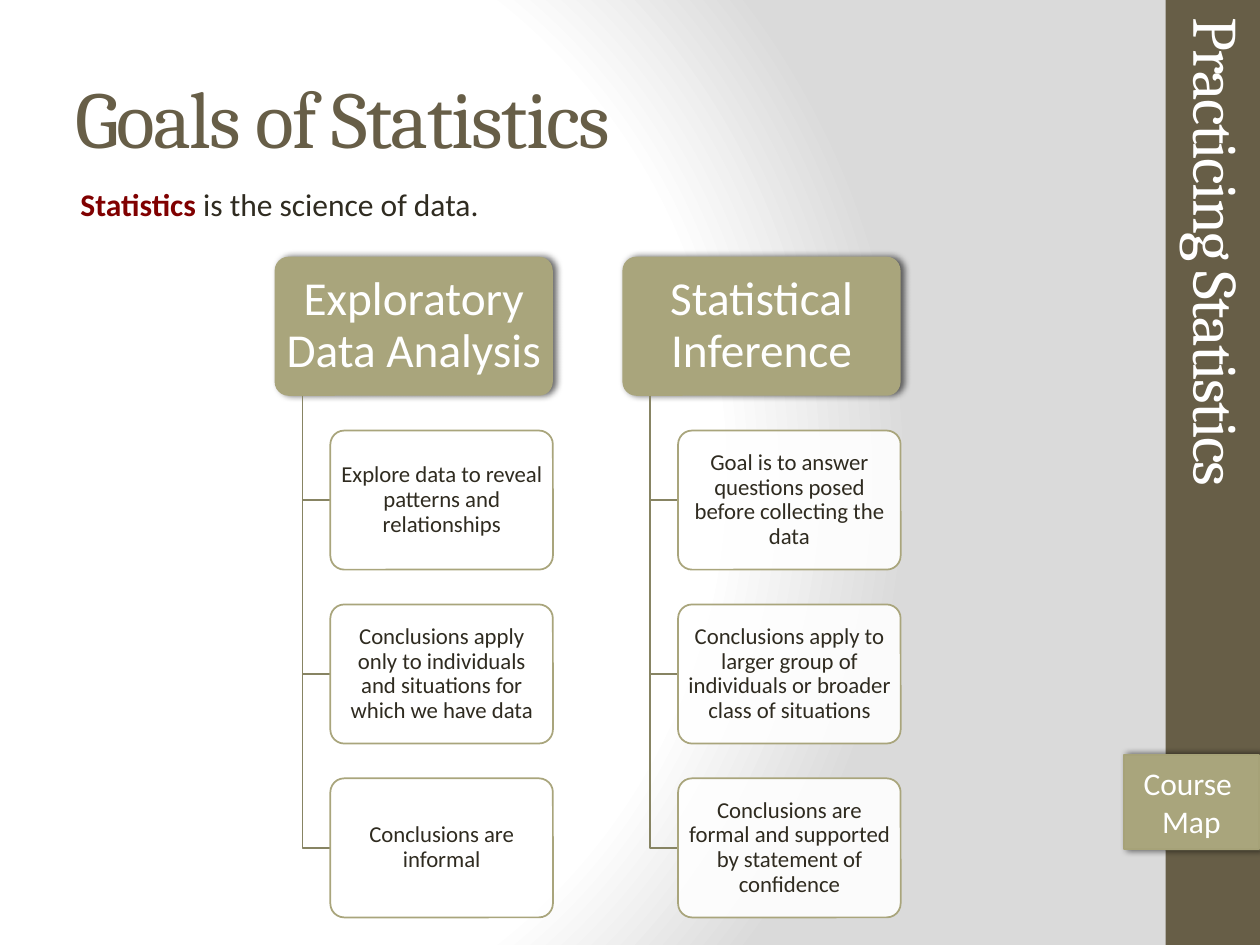
"""Build the Goals of Statistics slide."""
from lxml import etree
from pptx import Presentation
from pptx import util as u
from pptx.dml.color import RGBColor
from pptx.enum import shapes, text
from pptx.oxml import parse_xml
from pptx.oxml.ns import nsdecls, qn

BROWN = RGBColor(0x67, 0x5E, 0x47)
OLIVE = RGBColor(0xA9, 0xA5, 0x7C)
EDGE = RGBColor(0xA6, 0xA2, 0x78)
BRANCH = RGBColor(0x87, 0x84, 0x63)
MAROON = RGBColor(0x80, 0x00, 0x00)
INK = RGBColor(0x2F, 0x2B, 0x20)
SILVER = RGBColor(0xDA, 0xDA, 0xDA)
WHITE = RGBColor(0xFF, 0xFF, 0xFF)
BLACK = RGBColor(0x00, 0x00, 0x00)

HEAD_FONT, BODY_FONT = "Cambria", "Calibri"
COLS, ROWS = 40, 30
TREE_LEFT, TREE_TOP, TREE_PITCH = 8.72, 8.15, 5.52
UNIT = TREE_PITCH / 5

GOALS = [
    ("Exploratory Data Analysis", [
        "Explore data to reveal patterns and relationships",
        "Conclusions apply only to individuals and situations for which we have data",
        "Conclusions are informal"]),
    ("Statistical Inference", [
        "Goal is to answer questions posed before collecting the data",
        "Conclusions apply to larger group of individuals or broader class of situations",
        "Conclusions are formal and supported by statement of confidence"]),
]


class Deck:
    def __init__(self):
        self.prs = Presentation()
        self.prs.slide_width, self.prs.slide_height = u.Inches(10), u.Inches(7.5)
        self.s = self.prs.slides.add_slide(self.prs.slide_layouts[6])

    def grid(self, x, y):
        return (u.Emu(round(x * self.prs.slide_width / COLS)),
                u.Emu(round(y * self.prs.slide_height / ROWS)))

    def background(self, stops):
        gs = "".join(f'<a:gs pos="{pos * 1000}"><a:srgbClr val="{c}"/></a:gs>'
                     for pos, c in stops)
        bg = parse_xml(
            f'<p:bg {nsdecls("p", "a")}><p:bgPr><a:gradFill rotWithShape="1">'
            f'<a:gsLst>{gs}</a:gsLst><a:path path="circle">'
            '<a:fillToRect l="20000" t="50000" r="100000" b="50000"/></a:path>'
            '</a:gradFill><a:effectLst/></p:bgPr></p:bg>')
        self.s.element.cSld.insert(0, bg)

    def box(self, x, y, w, h, fill, kind=shapes.MSO_SHAPE.RECTANGLE,
            line=None, alpha=None, shadow=False):
        sp = self.s.shapes.add_shape(kind, *self.grid(x, y), *self.grid(w, h))
        sp.shadow.inherit = False
        sp.fill.solid()
        sp.fill.fore_color.rgb = fill
        if kind == shapes.MSO_SHAPE.ROUNDED_RECTANGLE:
            sp.adjustments[0] = 0.1
        if line is None:
            sp.line.fill.background()
        else:
            sp.line.color.rgb = line
            sp.line.width = u.Pt(1)
        pr = sp.element.spPr
        if alpha:
            clr = pr.find(qn("a:solidFill"))[0]
            etree.SubElement(clr, qn("a:alpha")).set("val", str(alpha * 1000))
        if shadow:
            pr.find(qn("a:effectLst")).append(parse_xml(
                f'<a:outerShdw {nsdecls("a")} blurRad="{u.Pt(4)}" dist="{u.Pt(2)}" '
                f'dir="0" rotWithShape="0"><a:srgbClr val="{BLACK}">'
                '<a:alpha val="60000"/></a:srgbClr></a:outerShdw>'))
        return sp

    def add_text(self, sp, runs, size, font=BODY_FONT, centre=False, inset=(0.1, 0.05),
                 wrap=True, middle=True, leading=None, before=0, spacing=None):
        tf = sp.text_frame
        tf.word_wrap = wrap
        tf.margin_left = tf.margin_right = u.Inches(inset[0])
        tf.margin_top = tf.margin_bottom = u.Inches(inset[1])
        tf.vertical_anchor = text.MSO_ANCHOR.MIDDLE if middle else text.MSO_ANCHOR.TOP
        p = tf.paragraphs[0]
        p.alignment = text.PP_ALIGN.CENTER if centre else text.PP_ALIGN.LEFT
        p.space_before = u.Pt(before)
        if leading:
            p.line_spacing = leading
        for words, color, bold in runs:
            if words == "\n":
                p.add_line_break()
                continue
            r = p.add_run()
            r.text = words
            r.font.name, r.font.size, r.font.bold = font, u.Pt(size), bold
            r.font.color.rgb = color
            if spacing:
                r._r.get_or_add_rPr().set("spc", str(spacing * 100))

    def label(self, x, y, w, h, runs, size, rotation=0, **style):
        sp = self.s.shapes.add_textbox(*self.grid(x, y), *self.grid(w, h))
        sp.rotation = rotation
        self.add_text(sp, runs, size, **style)

    def elbow(self, x, y, to_x, to_y):
        fb = self.s.shapes.build_freeform(*self.grid(x, y))
        fb.add_line_segments([self.grid(x, to_y), self.grid(to_x, to_y)], close=False)
        sp = fb.convert_to_shape()
        sp.shadow.inherit = False
        sp.fill.background()
        sp.line.color.rgb = BRANCH
        sp.line.width = u.Pt(1)

    def goal(self, x, y, heading, points):
        rounded = shapes.MSO_SHAPE.ROUNDED_RECTANGLE
        height = 4 * UNIT
        sp = self.box(x, y, 8 * UNIT, height, OLIVE, rounded, shadow=True)
        self.add_text(sp, [(heading, WHITE, False)], 27, centre=True,
                      inset=(0.06, 0.04), leading=0.9)
        child = x + 1.6 * UNIT
        for i, point in enumerate(points, 1):
            top = y + i * TREE_PITCH
            self.elbow(x + 0.8 * UNIT, y + height, child, top + height / 2)
            sp = self.box(child, top, 6.4 * UNIT, height, WHITE, rounded,
                          line=OLIVE, alpha=90)
            self.add_text(sp, [(point, INK, False)], 13, centre=True,
                          inset=(0.03, 0.02), leading=0.9)


def main():
    d = Deck()
    d.background([(0, WHITE), (75, WHITE), (100, SILVER)])
    d.box(37, 0, 3, ROWS, BROWN)
    d.box(37, 24, 3, 3, OLIVE)
    d.label(2, 1.2, 33.32, 5, [("Goals of Statistics", BROWN, False)], 46,
            font=HEAD_FONT, spacing=-1)
    for i, (heading, points) in enumerate(GOALS):
        d.goal(TREE_LEFT + i * 10 * UNIT, TREE_TOP, heading, points)
    sp = d.box(35.68, 23.96, 4.28, 3, OLIVE, shapes.MSO_SHAPE.ACTION_BUTTON_CUSTOM,
               line=EDGE, shadow=True)
    d.add_text(sp, [("Course ", WHITE, False), ("\n", WHITE, False),
                    ("Map", WHITE, False)], 18, centre=True)
    d.label(2.16, 5.68, 13.64, 1.6,
            [("Statistics ", MAROON, True), ("is the science of data.", INK, False)],
            18, wrap=False, middle=False, before=7)
    d.label(29.52, 7.72, 18.32, 3.2, [("Practicing Statistics", WHITE, False)], 36,
            rotation=90, font=HEAD_FONT, spacing=-1)
    d.prs.save("out.pptx")


main()
